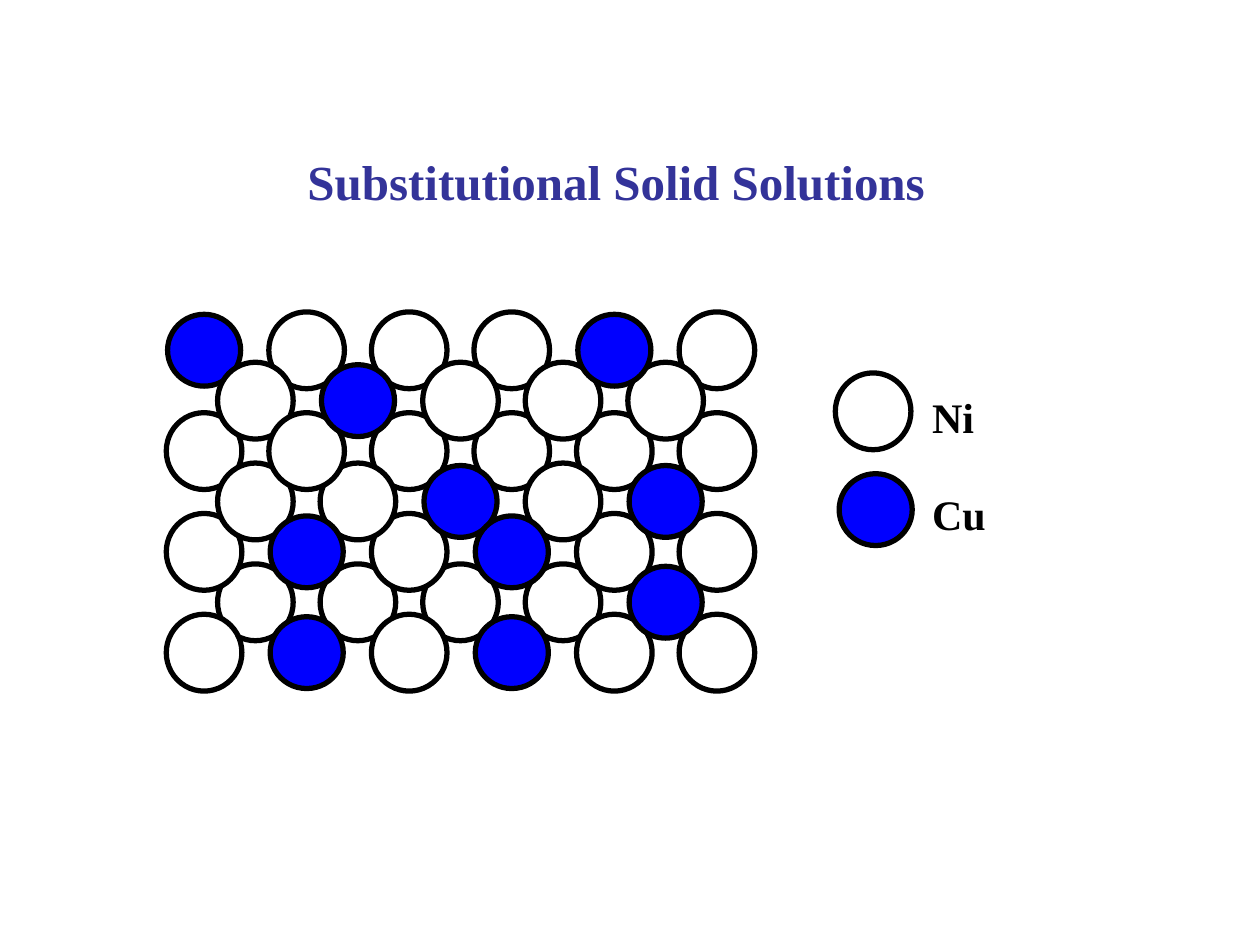
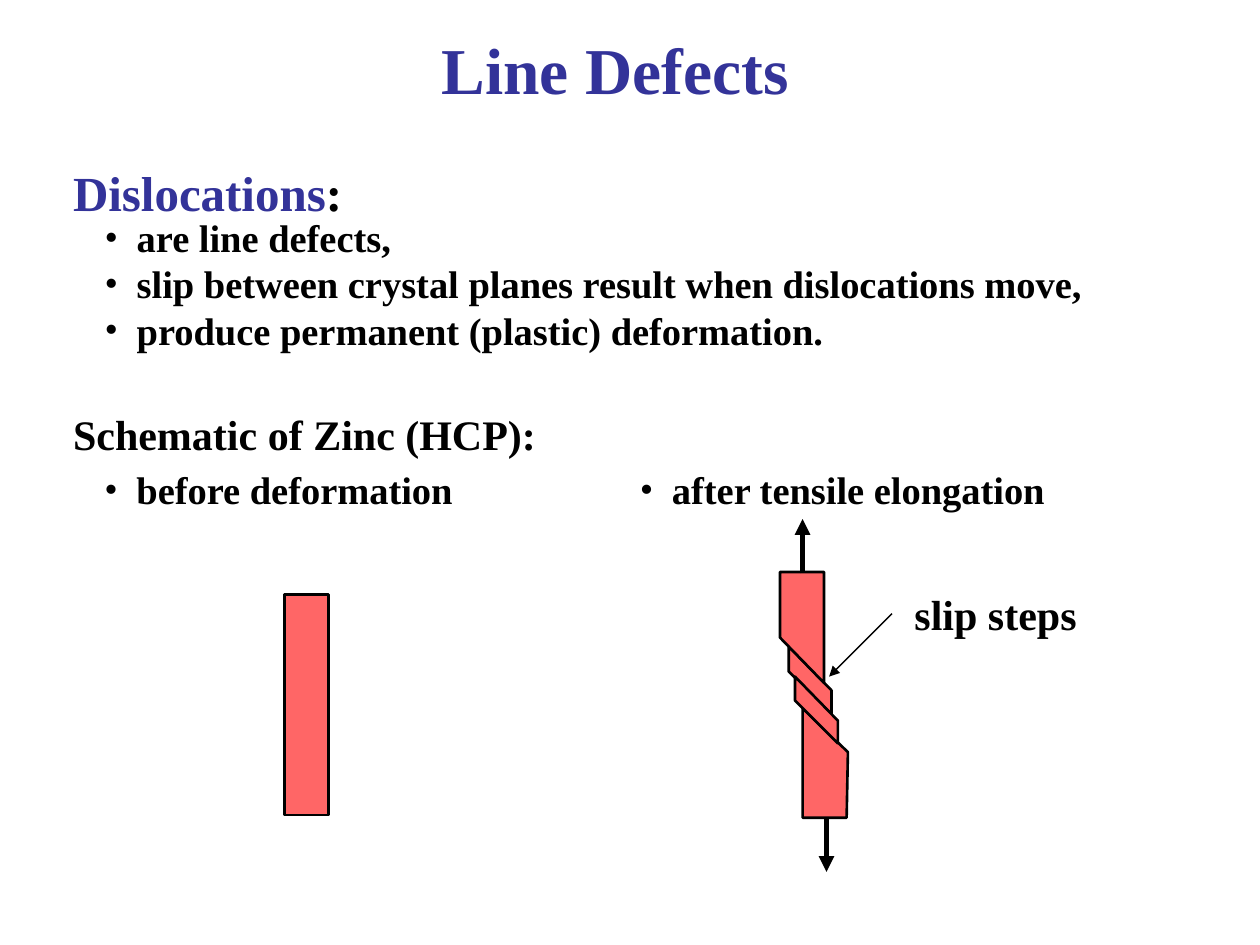
from lxml import etree
from pptx import Presentation
from pptx import util as u
from pptx.dml.color import RGBColor
from pptx.enum import shapes, text
from pptx.oxml import ns

INDIGO = RGBColor(0x33, 0x33, 0x99)
BLACK = RGBColor(0x00, 0x00, 0x00)
WHITE = RGBColor(0xFF, 0xFF, 0xFF)
BLUE = RGBColor(0x00, 0x00, 0xFF)
CORAL = RGBColor(0xFF, 0x66, 0x66)

FONT = "Times New Roman"
COLUMNS = 100  # square cells: 100 columns by 75 rows
PADDING = (1, 0.5)  # text inset in cells: sides, top and bottom
HANG = 2.55  # bullet indent in cells


def write(para, words, size=24, color=BLACK, bold=True):
    """Append one formatted span to a paragraph."""
    span = para.add_run()
    span.text = words
    span.font.name = FONT
    span.font.size = u.Pt(size)
    span.font.bold = bold
    span.font.color.rgb = color


class Painter:
    """Holds the shared style and the slide being drawn."""

    def __init__(self, deck):
        self.deck = deck
        self.cell = deck.slide_width / COLUMNS
        self.slide = None

    def new_slide(self):
        self.slide = self.deck.slides.add_slide(self.deck.slide_layouts[6])

    def cells(self, *counts):
        return [u.Emu(round(count * self.cell)) for count in counts]

    def style(self, shape, fill, width):
        shape.shadow.inherit = False
        shape.fill.solid()
        shape.fill.fore_color.rgb = fill
        shape.line.color.rgb = BLACK
        shape.line.width = u.Pt(width)

    def text_box(self, place, lines, padding=(0, 0), bullets=False, align=None,
                 spacing=None, middle=False, **format):
        """Each line is a string, or a list of (words, colour) spans."""
        box = self.slide.shapes.add_textbox(*self.cells(*place))
        frame = box.text_frame
        frame.word_wrap = True
        side, edge = self.cells(*padding)
        frame.margin_left = frame.margin_right = side
        frame.margin_top = frame.margin_bottom = edge
        if middle:
            frame.vertical_anchor = text.MSO_ANCHOR.MIDDLE
        for index, line in enumerate(lines):
            para = frame.add_paragraph() if index else frame.paragraphs[0]
            para.alignment = align
            para.line_spacing = spacing
            if bullets:
                self.bullet(para)
            if isinstance(line, str):
                write(para, line, **format)
            else:
                for words, color in line:
                    write(para, words, color=color, **format)

    def bullet(self, para):
        properties = para._p.get_or_add_pPr()
        hang, = self.cells(HANG)
        properties.set("marL", str(hang))
        properties.set("indent", str(-hang))
        etree.SubElement(properties, ns.qn("a:buFont"), typeface=FONT)
        etree.SubElement(properties, ns.qn("a:buChar"), char="•")

    def title(self, place, words, size, **layout):
        self.text_box(place, [words], padding=PADDING, size=size, color=INDIGO,
                      align=text.PP_ALIGN.CENTER, **layout)

    def label(self, left, top, width, words):
        self.text_box((left, top, width, 5), [words], padding=PADDING)

    def atom(self, x, y, copper):
        """Draw an atom centred on x, y."""
        width, height = (5.8, 5.7) if copper else (6, 6.1)
        place = self.cells(x - width / 2, y - height / 2, width, height)
        ball = self.slide.shapes.add_shape(shapes.MSO_SHAPE.OVAL, *place)
        self.style(ball, BLUE if copper else WHITE, 3)

    def bar(self, *place):
        shape = self.slide.shapes.add_shape(
            shapes.MSO_SHAPE.RECTANGLE, *self.cells(*place))
        self.style(shape, CORAL, 1.5)

    def crystal(self, *corners):
        start, *rest = [self.cells(*corner) for corner in corners]
        builder = self.slide.shapes.build_freeform(*start, scale=1.0)
        builder.add_line_segments(rest, close=True)
        self.style(builder.convert_to_shape(), CORAL, 1.5)

    def arrow(self, *ends, width=3):
        line = self.slide.shapes.add_connector(
            shapes.MSO_CONNECTOR.STRAIGHT, *self.cells(*ends))
        line.line.color.rgb = BLACK
        line.line.width = u.Pt(width)
        etree.SubElement(line.line._get_or_add_ln(), ns.qn("a:tailEnd"), type="triangle")
        etree.SubElement(line._element.spPr, ns.qn("a:effectLst"))


# Lattice: n nickel, c copper; capitals lie in front of the rest
LATTICE = ["cnnnCn", "nCnnn", "nNnnnn", "nnCnC", "nCnCnn", "nnnnC", "nCnCnn"]
BACK_ROWS = (5, 6, 4, 2, 0, 1, 3)
LEFT, RIGHT, TOP, ROW_STEP = 16.2, 56.9, 27.8, 4
PITCH = (RIGHT - LEFT) / (len(LATTICE[0]) - 1)


def draw_lattice(painter):
    for kind in "cnNC":
        rows = BACK_ROWS if kind.islower() else range(len(LATTICE))
        for row in rows:
            shift = row % 2 / 2  # odd rows sit in the gaps
            for column, atom in enumerate(LATTICE[row]):
                if atom == kind:
                    painter.atom(LEFT + (column + shift) * PITCH,
                                 TOP + row * ROW_STEP, kind in "cC")


def draw_solid_solutions(painter):
    painter.new_slide()
    painter.title((11.4, 11.5, 75, 5.7), "Substitutional Solid Solutions", 28)
    draw_lattice(painter)

    # Legend
    painter.atom(69.3, 32.65, False)
    painter.atom(69.5, 40.45, True)
    painter.label(73, 30.6, 8, "Ni")
    painter.label(73, 38.3, 8, "Cu")


def draw_line_defects(painter):
    painter.new_slide()
    painter.title((27.2, 2.1, 43.3, 7.5), "Line Defects", 37.4, spacing=0.9, middle=True)

    # Headings and bullets
    painter.text_box((5.8, 12.9, 40, 4.7),
                     [[("Dislocations", INDIGO), (":", BLACK)]], size=28)
    painter.text_box((8.3, 17, 85.8, 11),
                     ["are line defects,",
                      "slip between crystal planes result when dislocations move,",
                      "produce permanent (plastic) deformation."],
                     bullets=True, size=22)
    painter.text_box((5.8, 32.4, 50.8, 4), ["Schematic of Zinc (HCP):"])
    for left, words in ((7.3, "before deformation"), (49.8, "after tensile elongation")):
        painter.text_box((left, 36.5, 38, 4.7), [words], padding=PADDING,
                         bullets=True, size=22)

    # Crystal before deformation
    painter.bar(22.6, 47.2, 3.5, 17.5)

    # Crystal after elongation: slip bands, end blocks and pulling arrows
    painter.crystal((62.6, 51.3), (62.6, 53.3), (66, 56.7), (66, 54.8))
    painter.crystal((67.2, 64.9), (63.7, 64.9), (63.7, 56.2), (67.3, 59.7))
    painter.crystal((61.9, 45.4), (65.4, 45.4), (65.4, 54.2), (61.9, 50.6))
    painter.arrow(65.6, 64.9, 65.6, 69.2)
    painter.arrow(63.7, 45.5, 63.7, 41.2)
    painter.crystal((63.1, 53.7), (63.1, 55.6), (66.5, 59), (66.5, 57.2))

    # Callout
    painter.arrow(70.8, 48.7, 65.8, 53.7, width=0.75)
    painter.label(71.6, 46.2, 18, "slip steps")


def main():
    deck = Presentation()
    deck.slide_width, deck.slide_height = u.Inches(10), u.Inches(7.5)
    painter = Painter(deck)
    draw_solid_solutions(painter)
    draw_line_defects(painter)
    deck.save("out.pptx")


if __name__ == "__main__":
    main()
